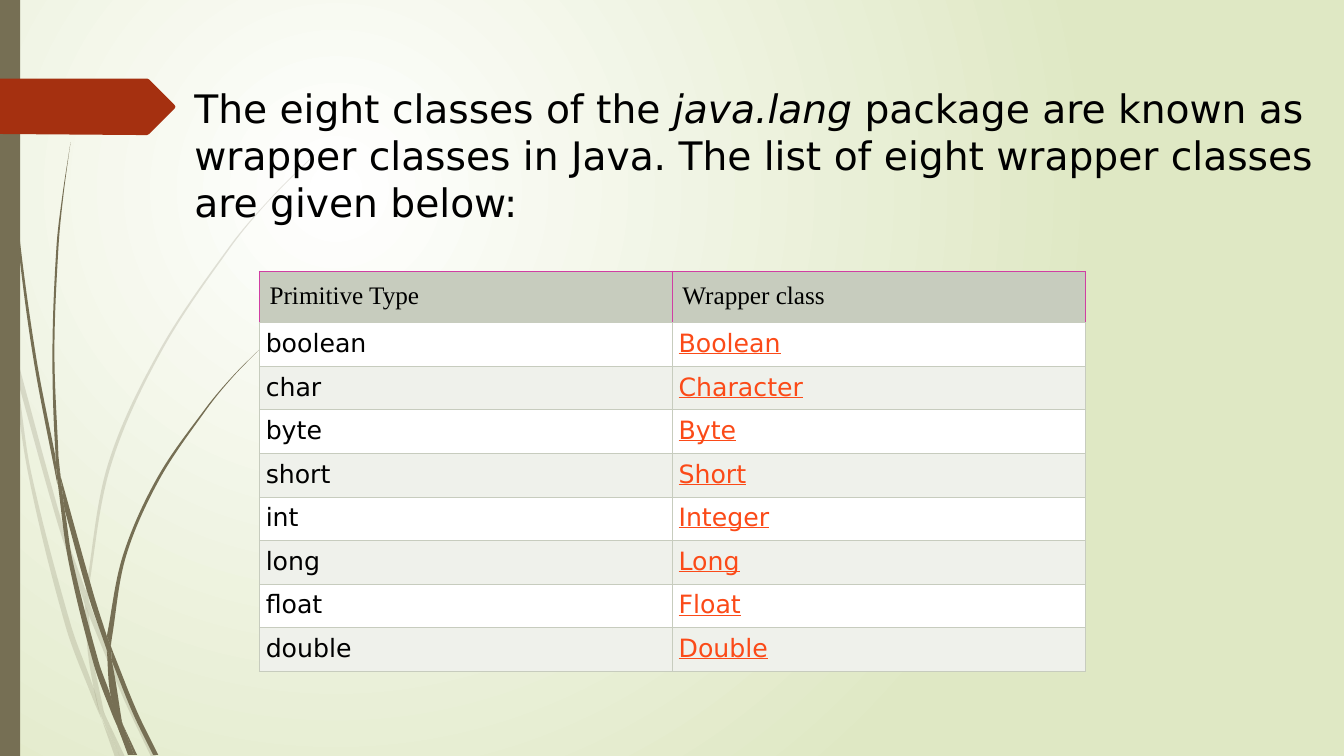
from math import dist

from lxml import etree
from pptx import Presentation
from pptx.dml.color import RGBColor
from pptx.enum.shapes import MSO_SHAPE
from pptx.enum.text import MSO_ANCHOR
from pptx.oxml.ns import qn
from pptx.util import Inches, Pt

RECTANGLE = MSO_SHAPE.RECTANGLE
TOP = MSO_ANCHOR.TOP

WIDTH, HEIGHT = 13.33, 7.5
TABLE_HEIGHT, HEADER_HEIGHT = 3.97, 0.51
THEME = {
    "glow": "FFFFFF", "ground": "DFE8C4", "stem": "766F54", "flag": "A53010",
    "text": "000000", "link": "FB4A18", "header": "C7CCBE", "header_line": "D03EA3",
    "bands": ("FFFFFF", "EFF1EB"),
    "sans": "DejaVu Sans", "serif": "Times New Roman", "title_size": 28, "table_size": 18,
    "header_inset": 7.5, "body_inset": 4.75,
}

TITLE = [
    ("The eight classes of the\u00a0", False),
    ("java.lang", True),
    ("\u00a0package are known as wrapper classes in Java. "
     "The list of eight wrapper classes are given below:", False),
]
HEADER = ("Primitive Type", "Wrapper class")
WRAPPERS = [
    ("boolean", "Boolean"), ("char", "Character"), ("byte", "Byte"), ("short", "Short"),
    ("int", "Integer"), ("long", "Long"), ("float", "Float"), ("double", "Double"),
]

# Each blade is a pair of edges, out and back, in inches.
PALE_GRASS = [
    ([(.11, 3.5), (.09, 3.22), (0, 2.82)], [(0, 2.99), (.1, 3.44), (.11, 3.5)]),
    ([(.17, 3.76), (.58, 5.22), (.84, 5.99)], [(.85, 5.86), (.62, 5.2), (.14, 3.45)]),
    ([(.88, 6.1), (1.23, 6.94), (1.5, 7.51)],
     [(1.55, 7.51), (1.27, 6.92), (.92, 6.07), (.88, 5.96)]),
    ([(1.05, 7.11), (1.19, 7.51)], [(1.24, 7.51), (1.05, 7.11)]),
    ([(.11, 3.5), (.28, 4.7), (.65, 6.21), (.92, 6.93), (1.01, 7.14)],
     [(.99, 7.07), (.93, 6.83), (.7, 6.19), (.31, 4.69), (.17, 3.76), (.11, 3.5)]),
    ([(.84, 5.99), (.87, 6.46), (.93, 6.83), (.96, 6.92), (1.05, 7.11)],
     [(1.03, 7.06), (.91, 6.46), (.88, 6.1), (.84, 5.99)]),
    ([(3.12, 1.53), (2.68, 1.97), (2.28, 2.44), (1.58, 3.48), (1.07, 4.61), (.85, 5.86)],
     [(.88, 5.96), (.88, 5.84), (1.1, 4.62), (1.6, 3.49), (2.29, 2.45), (2.68, 1.98),
      (3.12, 1.54)]),
    ([(1.01, 7.14), (1.14, 7.51)], [(1.19, 7.51), (1.01, 7.14)]),
    ([(.85, 5.86), (.84, 5.99)], [(.88, 6.1), (.88, 5.96)]),
    ([(.93, 6.83), (.99, 7.07), (1.19, 7.51)], [(1.05, 7.11), (.96, 6.92), (.93, 6.83)]),
]
DARK_GRASS = [
    ([(.03, 0), (.07, 1.1), (.17, 2.33), (.33, 3.55), (.57, 4.81)],
     [(.55, 4.53), (.36, 3.55), (.19, 2.32), (.08, 1.09), (.04, 0)]),
    ([(.64, 5.05), (.88, 5.92), (1.06, 6.45)], [(1.06, 6.31), (.93, 5.9), (.6, 4.72)]),
    ([(1.11, 6.56), (1.32, 7.08), (1.52, 7.49)],
     [(1.57, 7.49), (1.36, 7.06), (1.13, 6.49), (1.1, 6.41)]),
    ([(.57, 4.77), (.68, 5.57), (.93, 6.59), (1.11, 7.08), (1.17, 7.22)],
     [(1.16, 7.17), (1.1, 6.91), (.98, 6.57), (.72, 5.56), (.64, 5.05), (.57, 4.77)]),
    ([(.7, 1.41), (.62, 1.93), (.56, 2.45), (.52, 3.49), (.55, 4.49), (.6, 4.72)],
     [(.58, 4.53), (.54, 3.49), (.58, 2.45), (.63, 1.93), (.7, 1.41)]),
    ([(1.22, 7.19), (1.33, 7.49)], [(1.36, 7.49), (1.22, 7.19)]),
    ([(.55, 4.49), (.57, 4.77), (.64, 5.05)], [(.6, 4.72), (.55, 4.49)]),
    ([(2.6, 3.44), (2.31, 3.73), (2.04, 4.05), (1.56, 4.74), (1.22, 5.51), (1.06, 6.31)],
     [(1.1, 6.41), (1.11, 6.33), (1.25, 5.52), (1.58, 4.76), (2.05, 4.06), (2.31, 3.74),
      (2.6, 3.44)]),
    ([(1.17, 7.22), (1.27, 7.49)], [(1.31, 7.49), (1.17, 7.22)]),
    ([(1.06, 6.45), (1.1, 6.91), (1.22, 7.19)], [(1.21, 7.16), (1.11, 6.56), (1.06, 6.45)]),
    ([(1.06, 6.31), (1.06, 6.45)], [(1.11, 6.56), (1.1, 6.41)]),
    ([(1.1, 6.91), (1.17, 7.22), (1.3, 7.49)], [(1.33, 7.49), (1.22, 7.19), (1.1, 6.91)]),
]
FLAG = [(0, .78), (1.46, .78), (1.48, .79), (1.73, 1.04), (1.74, 1.06), (1.73, 1.08),
        (1.48, 1.33), (1.46, 1.34), (1.36, 1.34), (0, 1.33)]


def color(name):
    """Turn RRGGBB into a colour object."""
    return RGBColor.from_string(name)


def tangent(points, index):
    """Return the direction of a smooth edge at one of its points."""
    before, after = max(index - 1, 0), min(index + 1, len(points) - 1)
    length = sum(dist(points[i], points[i + 1]) for i in range(before, after))
    return [(b - a) / length for a, b in zip(points[before], points[after])]


def bend(shape, edges):
    """Turn the straight segments within each edge into smooth curves."""
    lines = iter(list(shape._element.iter(qn("a:lnTo"))))
    for number, edge in enumerate(edges):
        if number:
            next(lines)
        for i in range(len(edge) - 1):
            third = dist(edge[i], edge[i + 1]) / 3
            handles = [
                [p + sign * third * d for p, d in zip(edge[k], tangent(edge, k))]
                for k, sign in ((i, 1), (i + 1, -1))]
            line = next(lines)
            line.tag = qn("a:cubicBezTo")
            for place, (x, y) in enumerate(handles):
                handle = etree.Element(qn("a:pt"), x=str(Inches(x) - shape.left),
                                       y=str(Inches(y) - shape.top))
                line.insert(place, handle)


def paint(shape, fill, alpha=None):
    """Give a shape a plain fill, without line or shadow."""
    shape.shadow.inherit = False
    shape.line.fill.background()
    shape.fill.solid()
    shape.fill.fore_color.rgb = color(fill)
    if alpha:
        solid = shape.fill.fore_color._xFill
        etree.SubElement(solid[0], qn("a:alpha")).set("val", str(alpha * 1000))


def add_outline(shapes, points, fill, alpha=None):
    """Draw a closed outline from points in inches."""
    corners = [(Inches(x), Inches(y)) for x, y in points]
    builder = shapes.build_freeform(*corners[0])
    builder.add_line_segments(corners[1:], close=False)
    shape = builder.convert_to_shape()
    outline = next(shape._element.iter(qn("a:path")))
    etree.SubElement(outline, qn("a:close"))
    paint(shape, fill, alpha)
    return shape


def add_grass(slide, blades, alpha=None):
    """Draw one group of grass blades."""
    group = slide.shapes.add_group_shape()
    for out, back in blades:
        bend(add_outline(group.shapes, out + back, THEME["stem"], alpha), (out, back))


def write(frame, text, size, font=THEME["sans"], fill=THEME["text"], italic=False,
          underline=False):
    """Add a formatted run to the first paragraph."""
    run = frame.paragraphs[0].add_run()
    run.text = text
    run.font.size, run.font.name = Pt(size), font
    run.font.italic, run.font.underline = italic, underline
    run.font.color.rgb = color(fill)


def style_cell(cell, fill, inset, edge):
    """Set the borders, fill and insets of a table cell."""
    properties = cell._tc.get_or_add_tcPr()
    for side, name in {"L": edge, "R": edge, "T": edge, "B": THEME["header"]}.items():
        line = etree.SubElement(properties, qn(f"a:ln{side}"), w=str(Pt(0.6)))
        solid = etree.SubElement(line, qn("a:solidFill"))
        etree.SubElement(solid, qn("a:srgbClr"), val=name)
    cell.fill.solid()
    cell.fill.fore_color.rgb = color(fill)
    cell.margin_left = cell.margin_right = Pt(inset)
    cell.margin_top = cell.margin_bottom = Pt(inset)


def add_wrapper_table(slide):
    """Draw the table of primitive types and wrapper classes."""
    rows = [HEADER] + WRAPPERS
    table = slide.shapes.add_table(len(rows), len(HEADER), Inches(2.57), Inches(2.69),
                                   Inches(8.19), Inches(TABLE_HEIGHT)).table
    size, body_height = THEME["table_size"], (TABLE_HEIGHT - HEADER_HEIGHT) / len(WRAPPERS)
    for r, texts in enumerate(rows):
        table.rows[r].height = Inches(body_height if r else HEADER_HEIGHT)
        for c, text in enumerate(texts):
            cell = table.cell(r, c)
            if r == 0:
                style_cell(cell, THEME["header"], THEME["header_inset"], THEME["header_line"])
                write(cell.text_frame, text, size, font=THEME["serif"])
            else:
                style_cell(cell, THEME["bands"][(r - 1) % 2], THEME["body_inset"],
                           THEME["header"])
                write(cell.text_frame, text, size, underline=c == 1,
                      fill=THEME["link"] if c else THEME["text"])


def set_background(slide):
    """Fill the background with a round glow at the upper left."""
    fill = slide.background.fill
    fill.gradient()
    for stop, position, name in zip(fill.gradient_stops, (0, 1), ("glow", "ground")):
        stop.position, stop.color.rgb = position, color(THEME[name])
    linear = next(slide.background._cSld.iter(qn("a:lin")))
    glow = etree.Element(qn("a:path"))
    glow.set("path", "circle")
    etree.SubElement(glow, qn("a:fillToRect"), l="50000", t="50000", r="100000", b="100000")
    linear.getparent().replace(linear, glow)


presentation = Presentation()
presentation.slide_width, presentation.slide_height = Inches(WIDTH), Inches(HEIGHT)
slide = presentation.slides.add_slide(presentation.slide_layouts[6])
set_background(slide)
add_grass(slide, PALE_GRASS, alpha=20)
add_grass(slide, DARK_GRASS)
paint(slide.shapes.add_shape(RECTANGLE, 0, 0, Inches(0.2), Inches(HEIGHT)), THEME["stem"])
add_outline(slide.shapes, FLAG, THEME["flag"])
title = slide.shapes.add_textbox(Inches(1.83), Inches(0.79), Inches(11.5), Inches(1.37))
title.text_frame.word_wrap, title.text_frame.vertical_anchor = True, TOP
for text, italic in TITLE:
    write(title.text_frame, text, THEME["title_size"], italic=italic)
add_wrapper_table(slide)
presentation.save("out.pptx")
